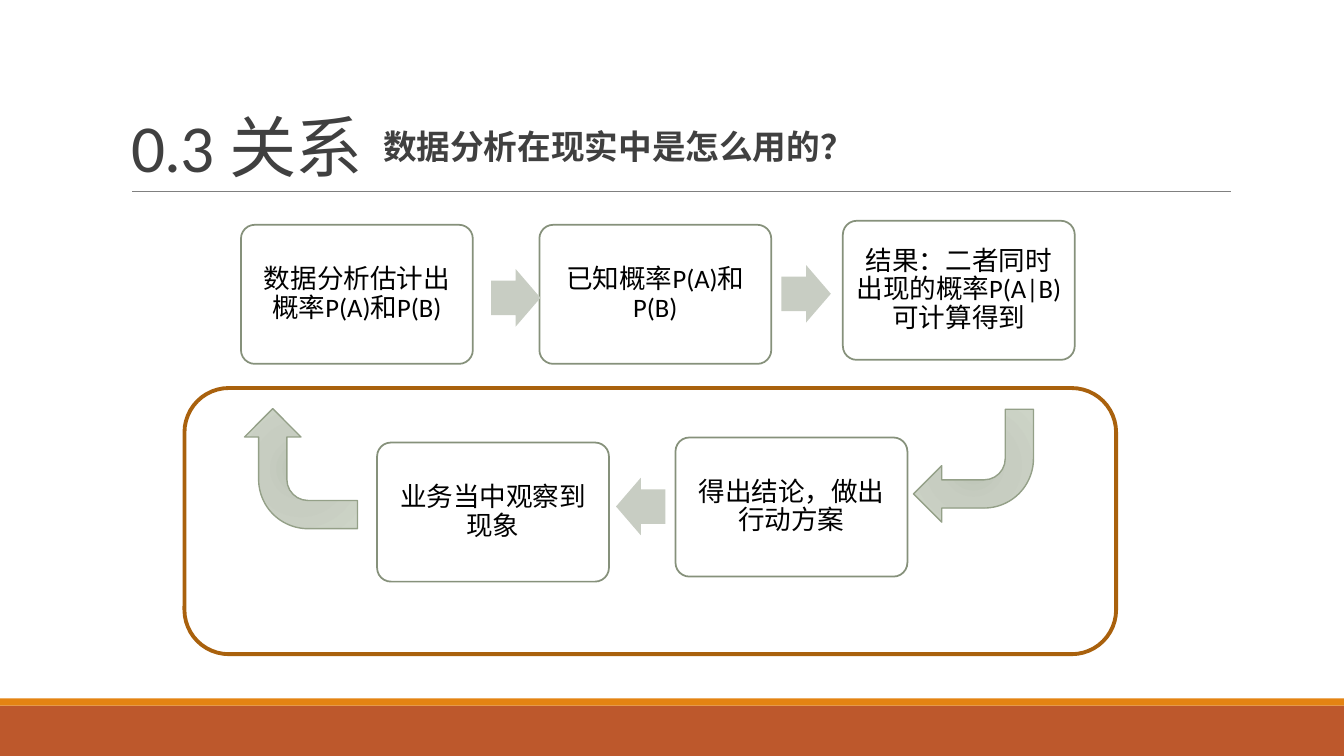
"""Builds the slide on how data analysis is used in practice."""
from dataclasses import dataclass

from lxml import etree
from pptx import Presentation
from pptx.dml.color import RGBColor
from pptx.enum import shapes, text
from pptx.oxml import parse_xml
from pptx.oxml.ns import nsdecls, qn
from pptx.util import Inches, Pt


@dataclass(frozen=True)
class Theme:
    latin: str = "Calibri"
    cjk: str = "Noto Sans CJK JP"
    heading: str = "404040"
    ink: str = "000000"
    card: str = "FFFFFF"
    card_edge: str = "86917B"
    arrow: str = "C8CDC3"
    bend_edge: str = "94A088"
    bend_stops: tuple = ((0, "BBC3B5"), (45, "C7CDC1"), (100, "CDD4C7"))
    frame_edge: str = "A9610D"
    rule: str = "808080"
    footer: str = "BD582C"
    stripe: str = "E48312"
    title_size: int = 48
    question_size: int = 24
    step_size: int = 19


THEME = Theme()
TITLE = "0.3 关系"
QUESTION = "数据分析在现实中是怎么用的？"
STEPS = [
    ("数据分析估计出概率P(A)和P(B)", 2.39, 2.23),
    ("已知概率P(A)和P(B)", 5.35, 2.23),
    ("结果：二者同时出现的概率P(A|B)可计算得到", 8.36, 2.19),
    ("得出结论，做出行动方案", 6.7, 4.34),
    ("业务当中观察到现象", 3.74, 4.39),
]
ARROWS = [(4.87, 2.67, 0), (7.75, 2.63, 0), (6.11, 4.74, 180)]
BENDS = [(2.39, 4.09, 270), (9.06, 4.06, 180)]
STEP_SIZE = (2.3, 1.38)
ARROW_SIZE = (0.49, 0.57)
BEND_SIZE = (1.19, 1.12)
BANDS = [((0, 7, 13.33, 0.5), THEME.footer), ((0, 6.93, 13.33, 0.07), THEME.stripe)]
KIND = shapes.MSO_SHAPE

deck = Presentation()
deck.slide_width, deck.slide_height = Inches(13.33), Inches(7.5)
slide = deck.slides.add_slide(deck.slide_layouts[1])


def assign(target, values):
    for name, value in values.items():
        setattr(target, name, value)


def add_part(kind, box, fill=None, edge=None, width=1, turn=0, adjust=()):
    part = slide.shapes.add_shape(kind, *map(Inches, box))
    part.shadow.inherit = False
    part.rotation = turn
    for index, value in enumerate(adjust):
        part.adjustments[index] = value
    if fill:
        part.fill.solid()
        part.fill.fore_color.rgb = RGBColor.from_string(fill)
    else:
        part.fill.background()
    if edge:
        part.line.color.rgb = RGBColor.from_string(edge)
        part.line.width = Pt(width)
    else:
        part.line.fill.background()
    return part


def write(holder, words, size, color, font, insets, anchor, align, spacing, bold=False):
    frame = holder.text_frame
    left, top, right, bottom = map(Inches, insets)
    assign(frame, dict(
        word_wrap=True, auto_size=text.MSO_AUTO_SIZE.NONE, vertical_anchor=anchor,
        margin_left=left, margin_top=top, margin_right=right, margin_bottom=bottom))
    paragraph = frame.paragraphs[0]
    assign(paragraph, dict(alignment=align, line_spacing=spacing, space_before=Pt(0)))
    run = paragraph.add_run()
    run.text = words
    assign(run.font, dict(size=Pt(size), name=font, bold=bold))
    run.font.color.rgb = RGBColor.from_string(color)
    return paragraph, run


def place(holder, box):
    assign(holder, dict(zip(("left", "top", "width", "height"), map(Inches, box))))


def shade(bend):
    stops = "".join(f'<a:gs pos="{position * 1000}"><a:srgbClr val="{color}"/></a:gs>'
                    for position, color in THEME.bend_stops)
    gradient = parse_xml(
        f'<a:gradFill {nsdecls("a")} rotWithShape="1"><a:gsLst>{stops}</a:gsLst>'
        '<a:path path="circle"><a:fillToRect l="100000" t="100000" r="100000" b="100000"/>'
        '</a:path></a:gradFill>')
    properties = bend.element.spPr
    properties.replace(properties.find(qn("a:noFill")), gradient)


title, question = slide.shapes.title, slide.placeholders[1]
place(title, (1.2, 0.31, 11, 1.59))
_, title_run = write(title, TITLE, THEME.title_size, THEME.heading, THEME.latin,
                     (0.1, 0.05, 0.1, 0.05), text.MSO_ANCHOR.BOTTOM, text.PP_ALIGN.LEFT, 0.85)
title_run.font._element.set("spc", "-50")

place(question, (3.8, 1.24, 7.28, 0.95))
question_line, question_run = write(
    question, QUESTION, THEME.question_size, THEME.heading, THEME.cjk,
    (0, 0.05, 0, 0.05), text.MSO_ANCHOR.TOP, text.PP_ALIGN.LEFT, 0.9, bold=True)
question_line.space_after = Pt(2)
bullet = question_line._p.get_or_add_pPr()
bullet.set("marL", "0")
bullet.set("indent", "0")
etree.SubElement(bullet, qn("a:buNone"))
etree.SubElement(question_run.font._element, qn("a:ea")).set("typeface", THEME.cjk)

for band, color in BANDS:
    add_part(KIND.RECTANGLE, band, color)

rule = slide.shapes.add_connector(
    shapes.MSO_CONNECTOR.STRAIGHT, *map(Inches, (1.31, 1.9, 12.21, 1.9)))
rule.line.color.rgb = RGBColor.from_string(THEME.rule)
rule.line.width = Pt(0.5)
etree.SubElement(rule.element.spPr, qn("a:effectLst"))

for words, left, top in STEPS:
    step = add_part(KIND.ROUNDED_RECTANGLE, (left, top, *STEP_SIZE),
                    THEME.card, THEME.card_edge, 1.25, adjust=(0.1,))
    write(step, words, THEME.step_size, THEME.ink, THEME.latin, (0.08,) * 4,
          text.MSO_ANCHOR.MIDDLE, text.PP_ALIGN.CENTER, 0.9)

for left, top, turn in ARROWS:
    add_part(KIND.RIGHT_ARROW, (left, top, *ARROW_SIZE), THEME.arrow,
             turn=turn, adjust=(0.6, 0.5))

for left, top, turn in BENDS:
    shade(add_part(KIND.BENT_ARROW, (left, top, *BEND_SIZE), edge=THEME.bend_edge, turn=turn))

add_part(KIND.ROUNDED_RECTANGLE, (1.83, 3.85, 9.24, 2.64), edge=THEME.frame_edge, width=2.75)

deck.save("out.pptx")
